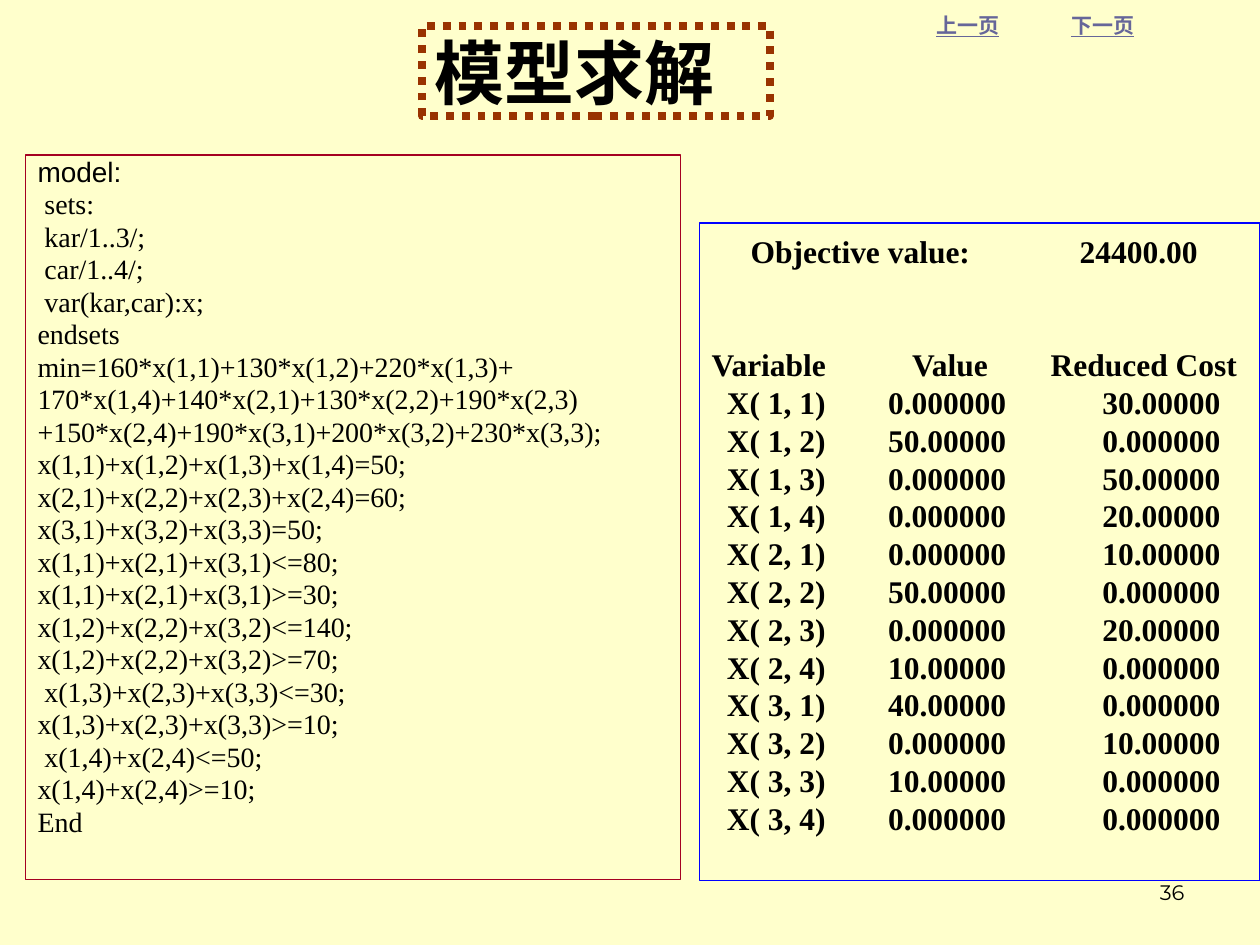
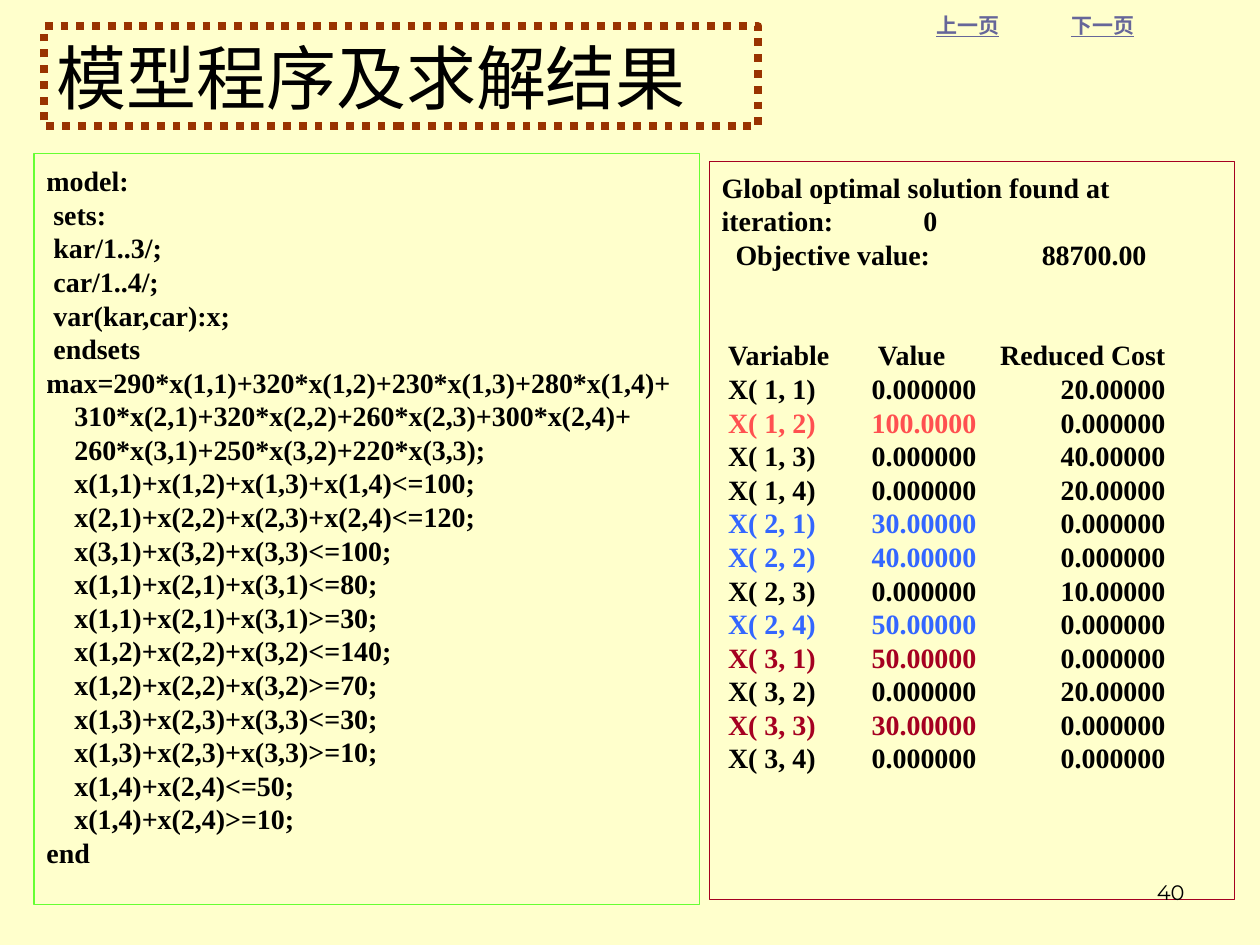
from lxml.etree import SubElement
from pptx import Presentation
from pptx.dml.color import RGBColor
from pptx.enum.dml import MSO_LINE
from pptx.enum.shapes import MSO_SHAPE as Shape
from pptx.enum.text import MSO_ANCHOR as Anchor, PP_ALIGN as Align
from pptx.oxml.ns import qn
from pptx.util import Inches, Pt

COLORS = {
    "paper": "FFFFCC", "ink": "000000", "nav": "666699", "title": "993300",
    "crimson": "A50021", "blue": "0000FF", "green": "66FF33",
    "coral": "FF5050", "azure": "3366FF",
}
SERIF, SANS, UI = "Times New Roman", "Arial", "Montserrat"
NAV = {"name": UI, "size": Pt(12), "bold": True, "underline": True}
NUMBER = {"name": UI, "size": Pt(12)}
VARIABLES = [f"X( {row}, {column})" for row in range(1, 4) for column in range(1, 5)]

MIN_MODEL = """model:
 sets:
 kar/1..3/;
 car/1..4/;
 var(kar,car):x;
endsets
min=160*x(1,1)+130*x(1,2)+220*x(1,3)+
170*x(1,4)+140*x(2,1)+130*x(2,2)+190*x(2,3)
+150*x(2,4)+190*x(3,1)+200*x(3,2)+230*x(3,3);
x(1,1)+x(1,2)+x(1,3)+x(1,4)=50;
x(2,1)+x(2,2)+x(2,3)+x(2,4)=60;
x(3,1)+x(3,2)+x(3,3)=50;
x(1,1)+x(2,1)+x(3,1)<=80;
x(1,1)+x(2,1)+x(3,1)>=30;
x(1,2)+x(2,2)+x(3,2)<=140;
x(1,2)+x(2,2)+x(3,2)>=70;
 x(1,3)+x(2,3)+x(3,3)<=30;
x(1,3)+x(2,3)+x(3,3)>=10;
 x(1,4)+x(2,4)<=50;
x(1,4)+x(2,4)>=10;
End"""

MAX_MODEL = """model:
 sets:
 kar/1..3/;
 car/1..4/;
 var(kar,car):x;
 endsets
max=290*x(1,1)+320*x(1,2)+230*x(1,3)+280*x(1,4)+
    310*x(2,1)+320*x(2,2)+260*x(2,3)+300*x(2,4)+
    260*x(3,1)+250*x(3,2)+220*x(3,3);
    x(1,1)+x(1,2)+x(1,3)+x(1,4)<=100;
    x(2,1)+x(2,2)+x(2,3)+x(2,4)<=120;
    x(3,1)+x(3,2)+x(3,3)<=100;
    x(1,1)+x(2,1)+x(3,1)<=80;
    x(1,1)+x(2,1)+x(3,1)>=30;
    x(1,2)+x(2,2)+x(3,2)<=140;
    x(1,2)+x(2,2)+x(3,2)>=70;
    x(1,3)+x(2,3)+x(3,3)<=30;
    x(1,3)+x(2,3)+x(3,3)>=10;
    x(1,4)+x(2,4)<=50;
    x(1,4)+x(2,4)>=10;
end"""

MIN_VALUES = ["0.000000", "50.00000", "0.000000", "0.000000", "0.000000", "50.00000",
              "0.000000", "10.00000", "40.00000", "0.000000", "10.00000", "0.000000"]
MIN_COSTS = ["30.00000", "0.000000", "50.00000", "20.00000", "10.00000", "0.000000",
             "20.00000", "0.000000", "0.000000", "10.00000", "0.000000", "0.000000"]
MAX_VALUES = ["0.000000", "100.0000", "0.000000", "0.000000", "30.00000", "40.00000",
              "0.000000", "50.00000", "50.00000", "0.000000", "30.00000", "0.000000"]
MAX_COSTS = ["20.00000", "0.000000", "40.00000", "20.00000", "0.000000", "0.000000",
             "10.00000", "0.000000", "0.000000", "20.00000", "0.000000", "0.000000"]
HIGHLIGHTS = {"X( 1, 2)": "coral", "X( 2, 1)": "azure", "X( 2, 2)": "azure",
              "X( 2, 4)": "azure", "X( 3, 1)": "crimson", "X( 3, 3)": "crimson"}


def rgb(color):
    return RGBColor.from_string(COLORS[color])


def add_span(para, text, font, color="ink"):
    span = para.add_run()
    span.text = text
    span.font.color.rgb = rgb(color)
    for key, value in font.items():
        setattr(span.font, key, value)


def next_para(frame):
    """Return the empty first paragraph, or a new one after it."""
    first = frame.paragraphs[0]
    para = frame.add_paragraph() if first.runs else first
    para.alignment = Align.LEFT
    return para


def set_tabs(para, stops):
    tabs = SubElement(para._p.get_or_add_pPr(), qn("a:tabLst"))
    for stop in stops:
        SubElement(tabs, qn("a:tab"), pos=str(Inches(stop)), algn="l")


def add_label(page, box, text, font, color, anchor, wrap=True):
    frame = page.shapes.add_textbox(*map(Inches, box)).text_frame
    frame.word_wrap = wrap
    frame.vertical_anchor = anchor
    para = next_para(frame)
    para.alignment = Align.RIGHT
    add_span(para, text, font, color)


def add_frame(page, box, color, width=0.75, anchor=Anchor.TOP, inset=0.05):
    """Add an outlined box and return the box with its text frame."""
    shape = page.shapes.add_shape(Shape.RECTANGLE, *map(Inches, box))
    shape.shadow.inherit = False
    shape.fill.background()
    shape.line.color.rgb = rgb(color)
    shape.line.width = Pt(width)
    frame = shape.text_frame
    frame.word_wrap = True
    frame.vertical_anchor = anchor
    frame.margin_top = Inches(inset)
    return shape, frame


def add_title(page, box, text, bold):
    shape, frame = add_frame(page, box, "title", 4.5, Anchor.MIDDLE)
    shape.line.dash_style = MSO_LINE.ROUND_DOT
    add_span(next_para(frame), text, {"name": SANS, "size": Pt(40), "bold": bold})


def add_code(page, box, color, code, bold, pitch, gap=0, inset=0.05, first_font=SERIF):
    _, frame = add_frame(page, box, color, inset=inset)
    for index, line in enumerate(code.splitlines()):
        para = next_para(frame)
        para.line_spacing = Pt(pitch)
        if index:
            para.space_before = Pt(gap)
        name = SERIF if index else first_font
        add_span(para, line, {"name": name, "size": Pt(16), "bold": bold})


def add_results(page, box, color, size, summary, header_stops, row_stops, rows):
    """Add the solver report; each line starts at its first tab stop."""
    _, frame = add_frame(page, box, color, inset=0.07)
    font = {"name": SERIF, "size": Pt(size), "bold": True}
    pitch = size * 1.2

    def add_line(stops, *spans, gap=0):
        para = next_para(frame)
        set_tabs(para, stops)
        para.line_spacing = Pt(pitch)
        if gap:
            para.space_before = Pt(gap)
        for text, ink in spans:
            add_span(para, text, font, ink)

    for stops, text in summary:
        add_line(stops, (text, "ink"))
    indent = "\t" if header_stops[0] else ""
    stops = [stop for stop in header_stops if stop]
    add_line(stops, (indent + "Variable\tValue\tReduced Cost", "ink"), gap=2 * pitch)
    for variable, value, cost, ink in rows:
        add_line(row_stops, (f"\t{variable}\t{value}", ink), (f"\t{cost}", "ink"))


def add_page(deck, number):
    """Add a page with its background, navigation labels and number."""
    page = deck.slides.add_slide(deck.slide_layouts[6])
    page.background.fill.solid()
    page.background.fill.fore_color.rgb = rgb("paper")
    add_label(page, (7.33, 0.05, 0.7, 0.3), "上一页", NAV, "nav", Anchor.BOTTOM, wrap=False)
    add_label(page, (8.31, 0.05, 0.79, 0.3), "下一页", NAV, "nav", Anchor.BOTTOM)
    return page, lambda: add_label(page, (7.17, 6.83, 2.33, 0.5), number, NUMBER,
                                   "ink", Anchor.MIDDLE)


def add_min_page(deck):
    page, add_number = add_page(deck, "36")
    add_title(page, (3.35, 0.21, 2.76, 0.71), "模型求解", True)
    add_code(page, (0.2, 1.23, 5.2, 5.75), "crimson", MIN_MODEL, False, 15.36,
             gap=3.2, first_font=SANS)
    rows = [(*row, "ink") for row in zip(VARIABLES, MIN_VALUES, MIN_COSTS)]
    add_results(page, (5.55, 1.77, 4.45, 5.22), "blue", 18,
                [((0.31, 2.92), "\tObjective value:\t24400.00")],
                (0, 1.59, 2.69), (0.12, 1.4, 3.1), rows)
    add_number()


def add_max_page(deck):
    page, add_number = add_page(deck, "40")
    add_title(page, (0.35, 0.21, 5.67, 0.79), "模型程序及求解结果", False)
    add_code(page, (0.27, 1.22, 5.28, 5.96), "green", MAX_MODEL, True, 19.2, inset=0.08)
    rows = [(*row, HIGHLIGHTS.get(row[0], "ink"))
            for row in zip(VARIABLES, MAX_VALUES, MAX_COSTS)]
    add_results(page, (5.63, 1.28, 4.17, 5.86), "crimson", 16,
                [((1.6,), "Global optimal solution found at iteration:\t0"),
                 ((0.11, 2.54), "\tObjective value:\t88700.00")],
                (0.05, 1.24, 2.21), (0.05, 1.19, 2.69), rows)
    add_number()


def main():
    deck = Presentation()
    deck.slide_width, deck.slide_height = Inches(10), Inches(7.5)
    add_min_page(deck)
    add_max_page(deck)
    deck.save("out.pptx")


if __name__ == "__main__":
    main()
